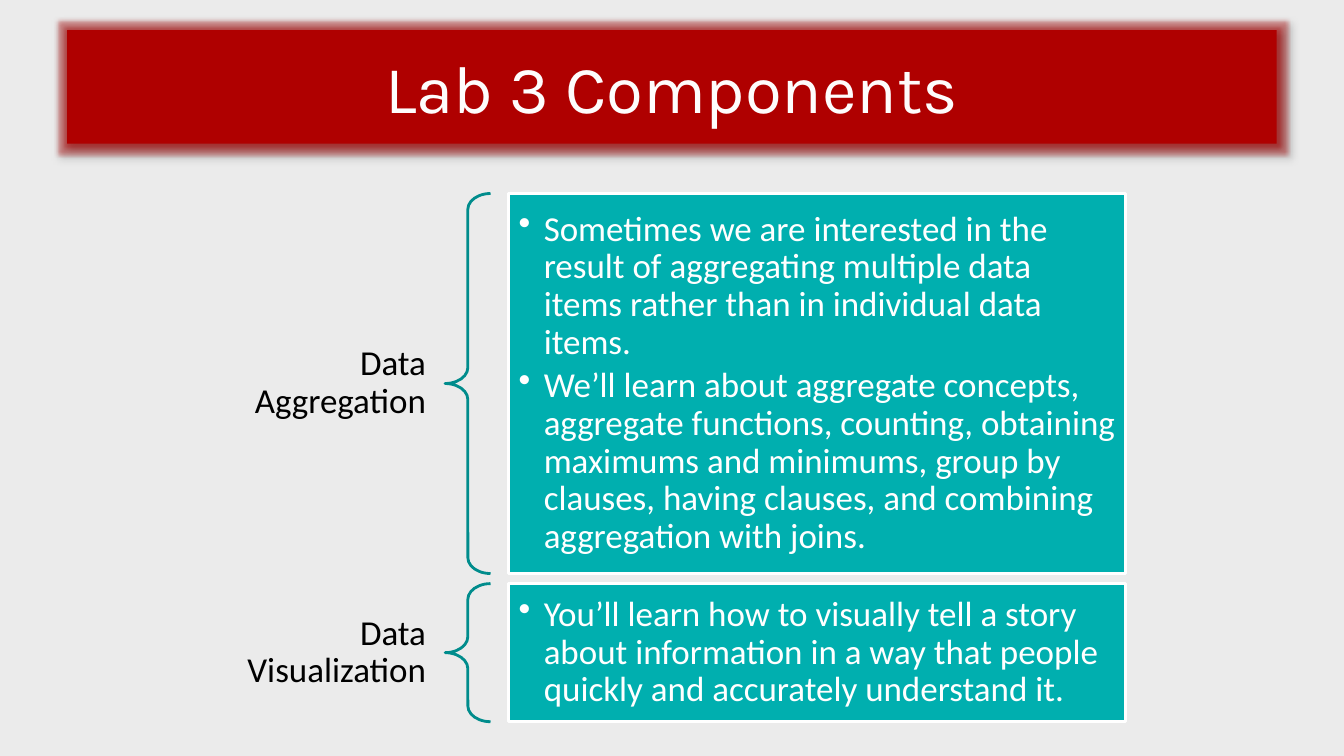
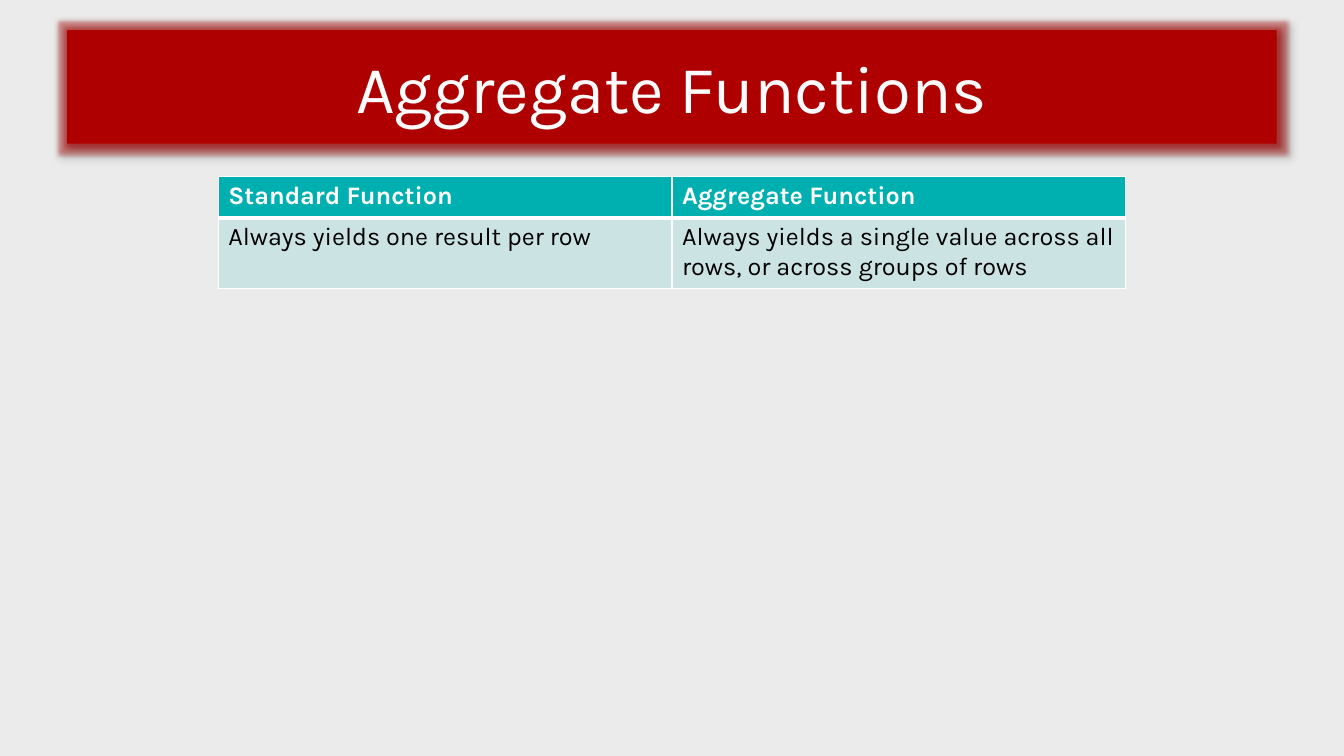
from dataclasses import dataclass

import lxml.etree
import pptx
import pptx.dml.color
import pptx.enum.shapes
import pptx.enum.text
import pptx.oxml.ns
import pptx.presentation
import pptx.shapes.autoshape
import pptx.shapes.shapetree
import pptx.slide
import pptx.table
import pptx.text.text
import pptx.util

RGBColor = pptx.dml.color.RGBColor
Inches = pptx.util.Inches
Pt = pptx.util.Pt
Align = pptx.enum.text.PP_ALIGN
Anchor = pptx.enum.text.MSO_ANCHOR
Preset = pptx.enum.shapes.MSO_SHAPE
qn = pptx.oxml.ns.qn

BACKGROUND = RGBColor(0xEB, 0xEB, 0xEB)
BAND_RED = RGBColor(0xAF, 0x00, 0x00)
TITLE_WHITE = RGBColor(0xFE, 0xFC, 0xFC)
WHITE = RGBColor(0xFF, 0xFF, 0xFF)
BLACK = RGBColor(0x00, 0x00, 0x00)
TEAL = RGBColor(0x00, 0xAF, 0xAF)
DARK_TEAL = RGBColor(0x00, 0x8C, 0x8C)
PALE_TEAL = RGBColor(0xCC, 0xE3, 0xE3)

TITLE_FONT = "Karla"
BODY_FONT = "Calibri"

SLIDE_WIDTH, SLIDE_HEIGHT = 13.33, 7.5
CONTENT_WIDTH = 9
CONTENT_LEFT = (SLIDE_WIDTH - CONTENT_WIDTH) / 2
LABEL_SHARE, BRACE_SHARE, GAP_SHARE = 0.25, 0.05, 0.02
TOPICS_TOP, TOPIC_GAP = 1.92, 0.1
TABLE_TOP = 1.75


@dataclass(frozen=True)
class Area:
    left: float
    top: float
    width: float
    height: float

    def lengths(self) -> list[int]:
        return [Inches(n) for n in (self.left, self.top, self.width, self.height)]


@dataclass(frozen=True)
class Style:
    font: str
    size: float
    color: RGBColor
    bold: bool = False


@dataclass(frozen=True)
class Topic:
    label: str
    points: tuple[str, ...]
    height: float


@dataclass(frozen=True)
class Row:
    texts: tuple[str, ...]
    height: float
    fill: RGBColor
    style: Style
    bottom_border: float


TITLE_STYLE = Style(TITLE_FONT, 48, TITLE_WHITE)
LABEL_STYLE = Style(BODY_FONT, 25, BLACK)
POINT_STYLE = Style(BODY_FONT, 25, WHITE)

TOPICS = (
    Topic("Data Aggregation", (
        "Sometimes we are interested in the result of aggregating multiple data "
        "items rather than in individual data items.",
        "We’ll learn about aggregate concepts, aggregate functions, counting, "
        "obtaining maximums and minimums, group by clauses, having clauses, and "
        "combining aggregation with joins.",
    ), 3.77),
    Topic("Data Visualization", (
        "You’ll learn how to visually tell a story about information in a way "
        "that people quickly and accurately understand it.",
    ), 1.37),
)

FUNCTION_ROWS = (
    Row(("Standard Function", "Aggregate Function"), 0.41, TEAL,
        Style(TITLE_FONT, 18, WHITE, True), 3),
    Row(("Always yields one result per row",
         "Always yields a single value across all rows, or across groups of rows"),
        0.7, PALE_TEAL, Style(TITLE_FONT, 18, BLACK), 1),
)


def add_node(parent, tag: str, **attributes: object):
    values = {name: str(value) for name, value in attributes.items()}
    return lxml.etree.SubElement(parent, qn(tag), values)


def add_color(parent, color: RGBColor, opacity: int = 100) -> None:
    node = add_node(parent, "a:srgbClr", val=color)
    if opacity < 100:
        add_node(node, "a:alpha", val=opacity * 1000)


def add_span(para: pptx.text.text._Paragraph, text: str, style: Style) -> pptx.text.text._Run:
    span = para.add_run()
    span.text = text
    span.font.name = style.font
    span.font.size = Pt(style.size)
    span.font.bold = style.bold
    span.font.color.rgb = style.color
    return span


def add_box(shapes: pptx.shapes.shapetree._BaseGroupShapes, preset: Preset, area: Area,
            fill: RGBColor | None, line: RGBColor | None) -> pptx.shapes.autoshape.Shape:
    box = shapes.add_shape(preset, *area.lengths())
    box.shadow.inherit = False
    if fill is None:
        box.fill.background()
    else:
        box.fill.solid()
        box.fill.fore_color.rgb = fill
    if line is None:
        box.line.fill.background()
    else:
        box.line.color.rgb = line
        box.line.width = Pt(2)
    return box


def set_frame(box: pptx.shapes.autoshape.Shape, across: float, down: float) -> pptx.text.text.TextFrame:
    frame = box.text_frame
    frame.word_wrap = True
    frame.vertical_anchor = Anchor.MIDDLE
    frame.margin_left = frame.margin_right = Inches(across)
    frame.margin_top = frame.margin_bottom = Inches(down)
    return frame


def add_band_effects(box: pptx.shapes.autoshape.Shape) -> None:
    effects = box._element.spPr.find(qn("a:effectLst"))
    glow = add_node(effects, "a:glow", rad=Pt(5))
    add_color(glow, BAND_RED, 40)
    shadow = add_node(effects, "a:outerShdw", blurRad=Pt(4), dist=Pt(3),
                      dir=45 * 60000, algn="tl", rotWithShape=0)
    add_color(shadow, BLACK, 40)


def add_page(deck: pptx.presentation.Presentation, title: str) -> pptx.slide.Slide:
    page = deck.slides.add_slide(deck.slide_layouts[6])
    page.background.fill.solid()
    page.background.fill.fore_color.rgb = BACKGROUND
    band_area = Area(SLIDE_WIDTH * 0.05, SLIDE_HEIGHT * 0.04,
                     SLIDE_WIDTH * 0.9, SLIDE_HEIGHT * 0.15)
    band = add_box(page.shapes, Preset.RECTANGLE, band_area, BAND_RED, None)
    add_band_effects(band)
    frame = set_frame(band, 0.1, 0.05)
    frame.word_wrap = False
    para = frame.paragraphs[0]
    para.alignment = Align.CENTER
    span = add_span(para, title, TITLE_STYLE)
    outline = add_node(span.font._element, "a:ln", w=Pt(0.75))
    add_color(add_node(outline, "a:solidFill"), WHITE)
    span.font._element.insert(0, outline)
    return page


def add_label(shapes: pptx.shapes.shapetree._BaseGroupShapes, area: Area, text: str) -> None:
    frame = set_frame(shapes.add_textbox(*area.lengths()), 0.19, 0.07)
    para = frame.paragraphs[0]
    para.alignment = Align.RIGHT
    para.line_spacing = 0.9
    add_span(para, text, LABEL_STYLE)


def add_points(box: pptx.shapes.autoshape.Shape, points: tuple[str, ...]) -> None:
    frame = set_frame(box, 0.1, 0.1)
    for index, point in enumerate(points):
        para = frame.add_paragraph() if index else frame.paragraphs[0]
        para.alignment = Align.LEFT
        para.level = 1
        para.line_spacing = 0.9
        para.space_after = Pt(POINT_STYLE.size * 0.15)
        properties = para._element.get_or_add_pPr()
        properties.set("marL", str(Inches(0.25)))
        properties.set("indent", str(-Inches(0.25)))
        add_node(properties, "a:buChar", char="•")
        add_span(para, point, POINT_STYLE)


def add_topic(shapes: pptx.shapes.shapetree._BaseGroupShapes, topic: Topic, top: float) -> None:
    label_width = CONTENT_WIDTH * LABEL_SHARE
    brace_width = CONTENT_WIDTH * BRACE_SHARE
    gap = CONTENT_WIDTH * GAP_SHARE
    brace_left = CONTENT_LEFT + label_width
    panel_left = brace_left + brace_width + gap
    panel_width = CONTENT_LEFT + CONTENT_WIDTH - panel_left

    add_label(shapes, Area(CONTENT_LEFT, top, label_width, topic.height), topic.label)
    brace = add_box(shapes, Preset.LEFT_BRACE,
                    Area(brace_left, top, brace_width, topic.height), None, DARK_TEAL)
    brace.adjustments[0] = 0.35
    brace.adjustments[1] = 0.5
    panel = add_box(shapes, Preset.RECTANGLE,
                    Area(panel_left, top, panel_width, topic.height), TEAL, WHITE)
    add_points(panel, topic.points)


def fill_cell(cell: pptx.table._Cell, text: str, row: Row) -> None:
    properties = cell._tc.get_or_add_tcPr()
    borders = {"a:lnL": 1, "a:lnR": 1, "a:lnT": 1, "a:lnB": row.bottom_border}
    for tag, width in borders.items():
        border = add_node(properties, tag, w=Pt(width))
        add_color(add_node(border, "a:solidFill"), WHITE)
    cell.fill.solid()
    cell.fill.fore_color.rgb = row.fill
    add_span(cell.text_frame.paragraphs[0], text, row.style)


def add_function_table(page: pptx.slide.Slide, rows: tuple[Row, ...]) -> None:
    area = Area(CONTENT_LEFT, TABLE_TOP, CONTENT_WIDTH, sum(row.height for row in rows))
    table = page.shapes.add_table(len(rows), len(rows[0].texts), *area.lengths()).table
    for row_index, row in enumerate(rows):
        table.rows[row_index].height = Inches(row.height)
        for column_index, text in enumerate(row.texts):
            fill_cell(table.cell(row_index, column_index), text, row)


def main() -> None:
    deck = pptx.Presentation()
    deck.slide_width = Inches(SLIDE_WIDTH)
    deck.slide_height = Inches(SLIDE_HEIGHT)

    components = add_page(deck, "Lab 3 Components")
    group = components.shapes.add_group_shape()
    top = TOPICS_TOP
    for topic in TOPICS:
        add_topic(group.shapes, topic, top)
        top += topic.height + TOPIC_GAP

    functions = add_page(deck, "Aggregate Functions")
    add_function_table(functions, FUNCTION_ROWS)

    deck.save("out.pptx")


if __name__ == "__main__":
    main()
